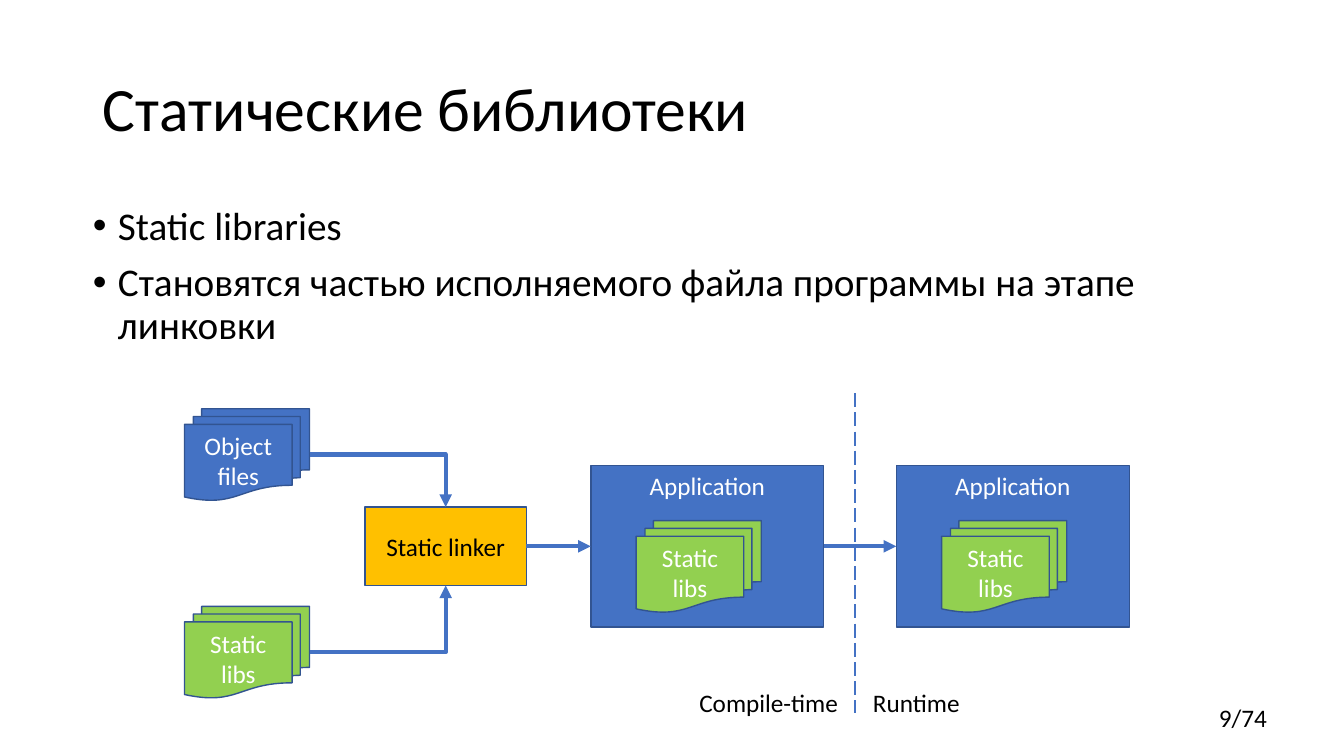
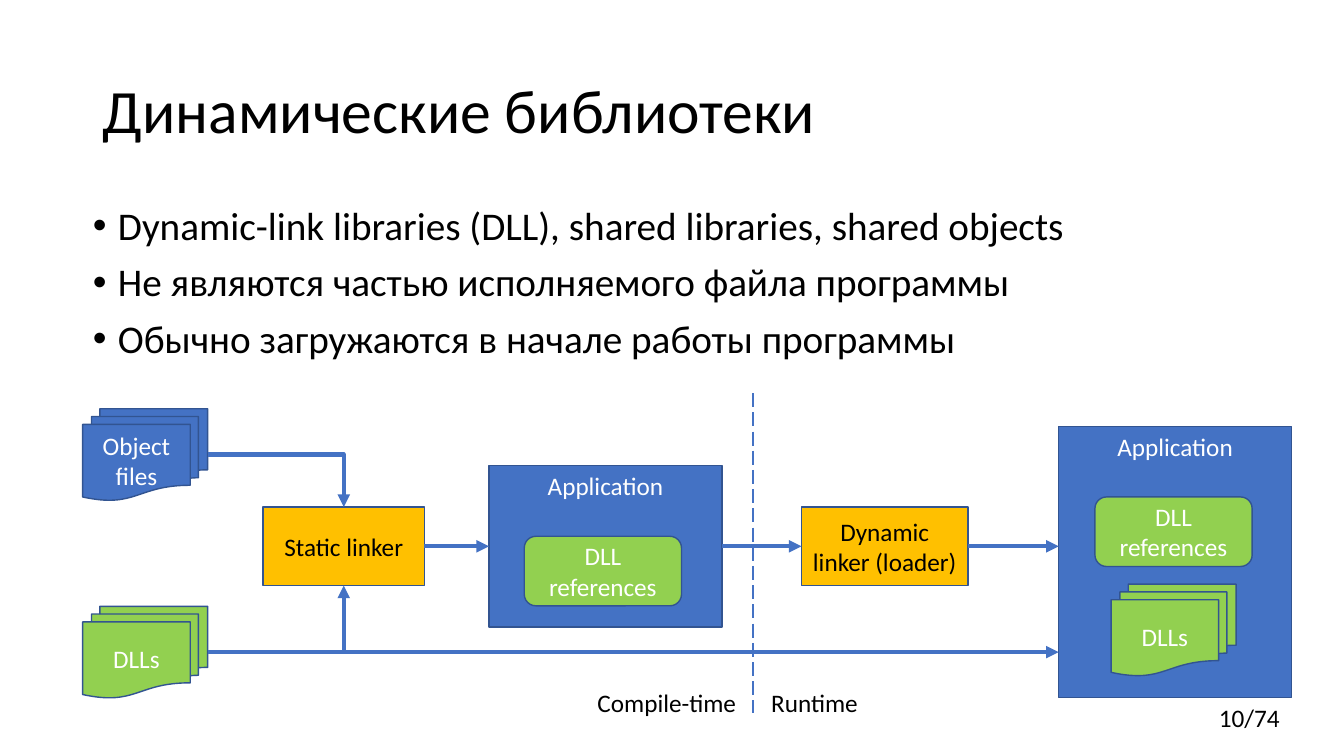
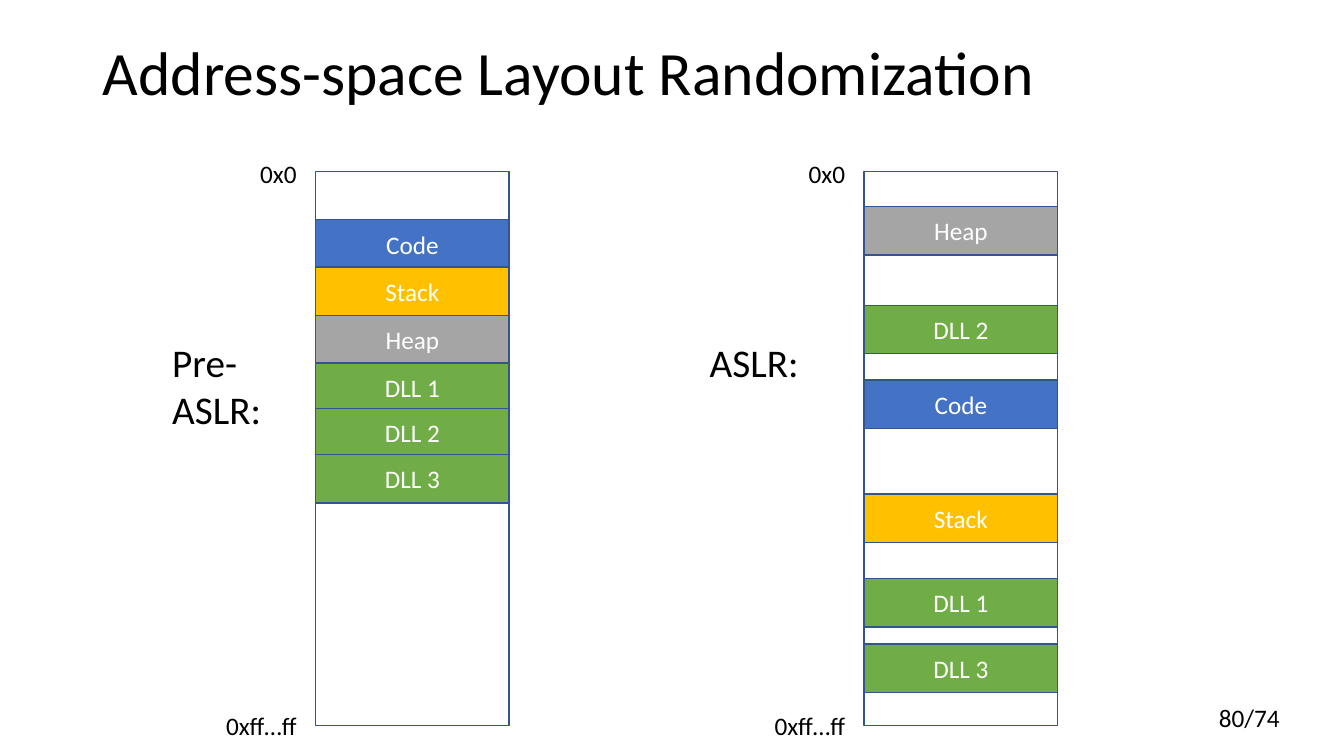
from lxml import etree
from pptx import Presentation
from pptx.dml.color import RGBColor
from pptx.enum.dml import MSO_LINE
from pptx.enum.shapes import MSO_CONNECTOR as LINK, MSO_SHAPE as SHAPE
from pptx.enum.text import MSO_ANCHOR as ANCHOR, MSO_AUTO_SIZE, PP_ALIGN as ALIGN
from pptx.oxml.ns import qn
from pptx.util import Inches, Pt

FONT = "Calibri"
COLORS = {
    "black": "000000", "white": "FFFFFF", "outline": "325491", "blue": "4472C4",
    "amber": "FFC000", "lime": "92D050", "green": "70AD47", "gray": "A5A5A5",
}
TOP, BOTTOM, LEFT, RIGHT = 0, 2, 1, 3

STATIC = {
    "title": "Статические библиотеки", "title_top": 0.38, "page": "9/74",
    "bullets": [
        "Static libraries",
        "Становятся частью исполняемого файла программы на этапе линковки",
    ],
    "left": 1.83, "libs": "Static libs",
}
DYNAMIC = {
    "title": "Динамические библиотеки", "title_top": 0.4, "page": "10/74",
    "bullets": [
        "Dynamic-link libraries (DLL), shared libraries, shared objects",
        "Не являются частью исполняемого файла программы",
        "Обычно загружаются в начале работы программы",
    ],
    "left": 0.82, "libs": "DLLs",
}
ASLR = {"title": "Address-space Layout Randomization", "title_top": 0.02, "page": "80/74"}

BLOCK_COLORS = {
    "Code": "blue", "Stack": "amber", "Heap": "gray",
    "DLL 1": "green", "DLL 2": "green", "DLL 3": "green",
}
MEMORY_MAPS = [
    {"name": "Pre-ASLR:", "name_left": 1.61, "left": 3.13,
     "blocks": [("Code", 2.18), ("Stack", 2.65), ("Heap", 3.13),
                ("DLL 1", 3.6), ("DLL 2", 4.05), ("DLL 3", 4.51)]},
    {"name": "ASLR:", "name_left": 6.94, "left": 8.57,
     "blocks": [("Heap", 2.05), ("DLL 2", 3.03), ("Code", 3.77),
                ("Stack", 4.9), ("DLL 1", 5.74), ("DLL 3", 6.39)]},
]
MAP_TOP, MAP_W, MAP_H, BLOCK_H = 1.7, 1.92, 5.5, 0.48

DOC_W, DOC_H = 1.24, 0.91
APP_W, APP_H = 2.31, 1.6
FLOW_Y, OBJECTS_Y, LIBS_Y = 5.42, 4.51, 6.47


def rgb(name):
    return RGBColor.from_string(COLORS[name])


def write(tf, text, size=18, color="black", align=ALIGN.LEFT, anchor=ANCHOR.TOP,
          spacing=None, before=None):
    tf.word_wrap = True
    tf.auto_size = MSO_AUTO_SIZE.NONE
    tf.vertical_anchor = anchor
    lines = [text] if isinstance(text, str) else text
    for i, line in enumerate(lines):
        p = tf.paragraphs[0] if i == 0 else tf.add_paragraph()
        p.alignment, p.line_spacing = align, spacing
        if before is not None:
            p.space_before = Pt(before)
        r = p.add_run()
        r.text = line
        r.font.name, r.font.size = FONT, Pt(size)
        r.font.color.rgb = rgb(color)


def place(sp, x, y, w, h):
    sp.left, sp.top, sp.width, sp.height = map(Inches, (x, y, w, h))


def label(s, text, x, y, w, h=0.4, **fmt):
    write(s.shapes.add_textbox(*map(Inches, (x, y, w, h))).text_frame, text, **fmt)


def box(s, text, x, y, w, h, fill=None, kind=SHAPE.RECTANGLE, color="white",
        anchor=ANCHOR.MIDDLE):
    sp = s.shapes.add_shape(kind, *map(Inches, (x, y, w, h)))
    sp.shadow.inherit = False
    if fill:
        sp.fill.solid()
        sp.fill.fore_color.rgb = rgb(fill)
    else:
        sp.fill.background()
    sp.line.color.rgb = rgb("outline")
    sp.line.width = Pt(1)
    if text:
        write(sp.text_frame, text, color=color, align=ALIGN.CENTER, anchor=anchor)
    return sp


def documents(s, text, x, mid_y, fill):
    return box(s, text, x, mid_y - DOC_H / 2, DOC_W, DOC_H, fill,
               SHAPE.FLOWCHART_MULTIDOCUMENT)


def linker(s, text, x, w):
    return box(s, text, x, 5.03, w, 0.78, "amber", color="black")


def application(s, x, y=FLOW_Y - APP_H / 2, h=APP_H):
    return box(s, "Application", x, y, APP_W, h, "blue", anchor=ANCHOR.TOP)


def references(s, x, y):
    box(s, "DLL references", x, y, 1.56, 0.69, "lime", SHAPE.ROUNDED_RECTANGLE)


def line(s, x1, y1, x2, y2, width=3, arrow=True, bent=False):
    kind = LINK.ELBOW if bent else LINK.STRAIGHT
    c = s.shapes.add_connector(kind, *map(Inches, (x1, y1, x2, y2)))
    c.line.color.rgb = rgb("blue")
    c.line.width = Pt(width)
    sp_pr = c._element.spPr
    if bent:
        sp_pr.find(qn("a:prstGeom")).set("prst", "bentConnector2")
    if arrow:
        etree.SubElement(sp_pr.find(qn("a:ln")), qn("a:tailEnd"), type="triangle")
    etree.SubElement(sp_pr, qn("a:effectLst"))
    return c


def flow(s, start, end, end_x=None):
    x1 = (start.left + start.width) / Inches(1)
    x2 = end.left / Inches(1)
    c = line(s, x1, FLOW_Y, x2, FLOW_Y)
    c.begin_connect(start, RIGHT)
    if abs(end.top + end.height / 2 - Inches(FLOW_Y)) < Inches(0.02):
        c.end_connect(end, LEFT)


def new_slide(prs, data):
    bullets = data.get("bullets")
    s = prs.slides.add_slide(prs.slide_layouts[1 if bullets else 5])
    place(s.shapes.title, 0.92, data["title_top"], 11.5, 1.45)
    write(s.shapes.title.text_frame, data["title"], size=44, anchor=ANCHOR.MIDDLE,
          spacing=0.9)
    if bullets:
        body = s.placeholders[1]
        place(body, 0.82, 2, 11.6, 4.76)
        write(body.text_frame, bullets, size=28, spacing=0.9, before=10)
        for p in body.text_frame.paragraphs:
            p_pr = p._p.get_or_add_pPr()
            p_pr.set("marL", str(Inches(0.25)))
            p_pr.set("indent", str(-Inches(0.25)))
            etree.SubElement(p_pr, qn("a:buChar"), char="•")
    label(s, data["page"], 11.99, 6.92, 1.3)
    return s


def build_stage(s, data):
    x = data["left"]
    documents(s, "Object files", x, OBJECTS_Y, "blue")
    documents(s, data["libs"], x, LIBS_Y, "lime")
    link = linker(s, "Static linker", x + 1.79, 1.6)
    for y, end_y in ((OBJECTS_Y, 5.03), (LIBS_Y, 5.81)):
        line(s, x + DOC_W, y, x + 2.59, end_y, bent=True)
    app = application(s, x + 4.03)
    flow(s, link, app)
    divider = x + 6.65
    c = line(s, divider, 3.9, divider, 7.07, width=1.25, arrow=False)
    c.line.dash_style = MSO_LINE.LONG_DASH
    label(s, "Compile-time", divider - 1.87, 6.77, 1.8, align=ALIGN.RIGHT)
    label(s, "Runtime", divider + 0.08, 6.77, 1.8)
    return app


def static_slide(prs):
    s = new_slide(prs, STATIC)
    app = build_stage(s, STATIC)
    running = application(s, 8.89)
    flow(s, app, running)
    for x in (6.31, 9.34):
        documents(s, STATIC["libs"], x, 5.62, "lime")


def dynamic_slide(prs):
    s = new_slide(prs, DYNAMIC)
    app = build_stage(s, DYNAMIC)
    loader = linker(s, "Dynamic linker (loader)", 7.95, 1.65)
    running = application(s, 10.5, 4.23, 2.69)
    flow(s, app, loader)
    flow(s, loader, running)
    line(s, DYNAMIC["left"] + DOC_W, LIBS_Y, 10.5, LIBS_Y)
    references(s, 5.2, 5.32)
    references(s, 10.86, 4.93)
    documents(s, DYNAMIC["libs"], 11.02, 6.25, "lime")


def aslr_slide(prs):
    s = new_slide(prs, ASLR)
    for m in MEMORY_MAPS:
        x = m["left"]
        box(s, "", x, MAP_TOP, MAP_W, MAP_H)
        for name, y in m["blocks"]:
            box(s, name, x, y, MAP_W, BLOCK_H, BLOCK_COLORS[name])
        for text, y in (("0x0", 1.52), ("0xff…ff", 7)):
            label(s, text, x - 1.3, y, 1.21, align=ALIGN.RIGHT)
        label(s, m["name"], m["name_left"], 3.31, 1.49, 1.04, size=28)


def main():
    prs = Presentation()
    prs.slide_width, prs.slide_height = Inches(13.33), Inches(7.5)
    static_slide(prs)
    dynamic_slide(prs)
    aslr_slide(prs)
    prs.save("out.pptx")


if __name__ == "__main__":
    main()
